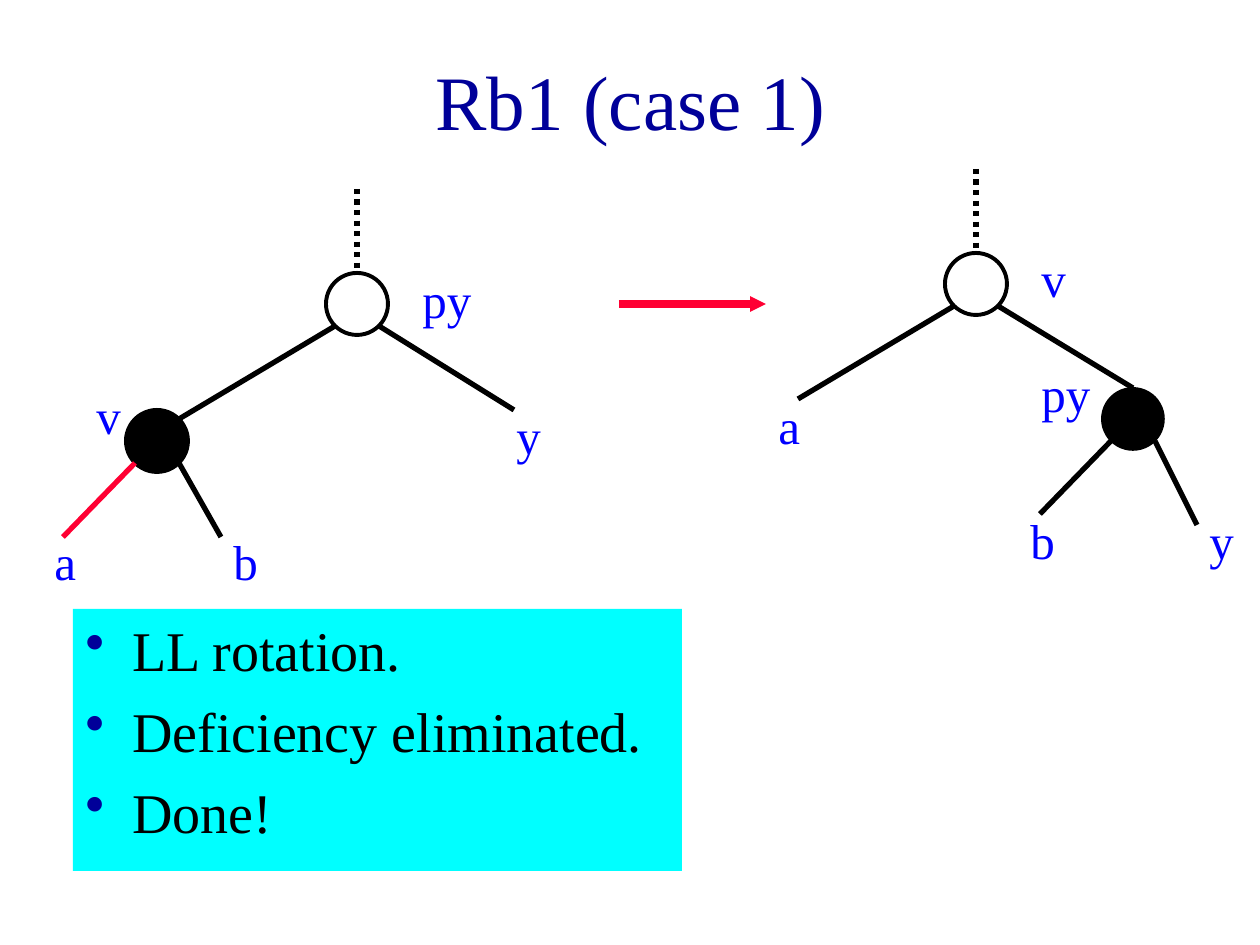
from lxml import etree
from pptx import Presentation
from pptx.dml.color import RGBColor
from pptx.enum.dml import MSO_LINE
from pptx.enum.shapes import MSO_CONNECTOR, MSO_SHAPE
from pptx.enum.text import MSO_ANCHOR, PP_ALIGN
from pptx.oxml.ns import qn
from pptx.util import Pt

PX = 914400 // 126
STRAIGHT = MSO_CONNECTOR.STRAIGHT
DOTTED = MSO_LINE.ROUND_DOT
LEFT, CENTER = PP_ALIGN.LEFT, PP_ALIGN.CENTER
TOP, MIDDLE = MSO_ANCHOR.TOP, MSO_ANCHOR.MIDDLE

BLACK = RGBColor(0x00, 0x00, 0x00)
NAVY = RGBColor(0x00, 0x00, 0x99)
BLUE = RGBColor(0x00, 0x00, 0xFF)
RED = RGBColor(0xFF, 0x00, 0x33)
CYAN = RGBColor(0x00, 0xFF, 0xFF)

FONT = "Times New Roman"
DIAMETER = 62
CORNER = 22  # horizontal and vertical reach of a node's diagonal points
STEM = 84
LABEL_HEIGHT = 72

TITLE = "Rb1 (case 1)"
NOTES = ["LL rotation.", "Deficiency eliminated.", "Done!"]

# root and child: node centres; child_end: where the edge from the root ends
# leaves: side of the node (-1 left, 1 right), end point, colour
# labels: text, left, top, width
TREES = [
    {
        "root": (357, 304), "child": (157, 441), "child_side": -1,
        "child_end": (157 + CORNER, 441 - CORNER), "child_line": 2.25,
        "leaves": [("root", 1, (514, 410), BLACK),
                   ("child", -1, (63, 537), RED),
                   ("child", 1, (221, 537), BLACK)],
        "labels": [("a", 42, 525, 63), ("b", 221, 525, 63), ("y", 504, 399, 63),
                   ("py", 410, 263, 105), ("v", 84, 379, 63)],
    },
    {
        "root": (976, 284), "child": (1133, 419), "child_side": 1,
        "child_end": (1133, 419 - DIAMETER // 2), "child_line": 1,
        "leaves": [("root", -1, (798, 399), BLACK),
                   ("child", -1, (1040, 514), BLACK),
                   ("child", 1, (1197, 525), BLACK)],
        "labels": [("a", 766, 389, 63), ("b", 1018, 504, 63), ("y", 1197, 504, 63),
                   ("v", 1029, 242, 105), ("py", 1029, 357, 95)],
    },
]
ARROW = ((619, 304), (766, 304))


def write(shape, lines, size, color, align=LEFT, anchor=TOP, gap=0, bullet=None):
    """Fill a shape with paragraphs; bullet is the colour of the bullets."""
    frame = shape.text_frame
    frame.word_wrap = True
    frame.vertical_anchor = anchor
    for index, line in enumerate(lines):
        paragraph = frame.paragraphs[0] if index == 0 else frame.add_paragraph()
        paragraph.alignment = align
        if index:
            paragraph.space_before = Pt(gap)
        if bullet is not None:
            properties = paragraph._p.get_or_add_pPr()
            properties.set("marL", str(47 * PX))
            properties.set("indent", str(-47 * PX))
            bullet_color = etree.SubElement(properties, qn("a:buClr"))
            etree.SubElement(bullet_color, qn("a:srgbClr"), val=str(bullet))
            etree.SubElement(properties, qn("a:buChar"), char="•")
        run = paragraph.add_run()
        run.text = line
        run.font.name, run.font.size = FONT, Pt(size)
        run.font.color.rgb = color


def add_text(shapes, box, text, **text_format):
    shape = shapes.add_textbox(*(value * PX for value in box))
    write(shape, [text], **text_format)


def add_line(shapes, start, end, color=BLACK, width=3):
    line = shapes.add_connector(STRAIGHT, *(value * PX for value in start + end))
    line.line.color.rgb = color
    line.line.width = Pt(width)
    etree.SubElement(line._element.spPr, qn("a:effectLst"))
    return line


def add_node(shapes, center, filled, width):
    left, top = (value - DIAMETER // 2 for value in center)
    node = shapes.add_shape(MSO_SHAPE.OVAL, left * PX, top * PX,
                            DIAMETER * PX, DIAMETER * PX)
    node.shadow.inherit = False
    if filled:
        node.fill.solid()
        node.fill.fore_color.rgb = BLACK
    else:
        node.fill.background()
    node.line.color.rgb = BLACK
    node.line.width = Pt(width)
    return node


def lower_corner(center, side):
    return center[0] + side * CORNER, center[1] + CORNER


def add_tree(slide, tree):
    shapes = slide.shapes.add_group_shape().shapes
    root_x, root_y = tree["root"]
    root = add_node(shapes, tree["root"], False, 2.25)
    add_node(shapes, tree["child"], True, tree["child_line"])

    root_top = root_y - DIAMETER // 2
    stem = add_line(shapes, (root_x, root_top - STEM), (root_x, root_top))
    stem.line.dash_style = DOTTED
    stem.end_connect(root, 0)

    add_line(shapes, lower_corner(tree["root"], tree["child_side"]), tree["child_end"])
    for node, side, end, color in tree["leaves"]:
        add_line(shapes, lower_corner(tree[node], side), end, color)
    for text, left, top, width in tree["labels"]:
        add_text(shapes, (left, top, width, LABEL_HEIGHT), text, size=28, color=BLUE)


def main():
    presentation = Presentation()
    presentation.slide_width, presentation.slide_height = 1260 * PX, 945 * PX
    slide = presentation.slides.add_slide(presentation.slide_layouts[6])

    add_text(slide.shapes, (95, 21, 1071, 158), TITLE,
             size=44, color=NAVY, align=CENTER, anchor=MIDDLE)

    panel = slide.shapes.add_shape(MSO_SHAPE.RECTANGLE,
                                   *(value * PX for value in (73, 609, 609, 262)))
    panel.shadow.inherit = False
    panel.fill.solid()
    panel.fill.fore_color.rgb = CYAN
    panel.line.fill.background()
    write(panel, NOTES, size=32, color=BLACK, gap=8, bullet=NAVY)

    for tree in TREES:
        add_tree(slide, tree)

    arrow = add_line(slide.shapes, *ARROW, color=RED, width=4.5)
    etree.SubElement(arrow.line._get_or_add_ln(), qn("a:tailEnd"), type="triangle",
                     w="sm", len="sm")
    presentation.save("out.pptx")


if __name__ == "__main__":
    main()
